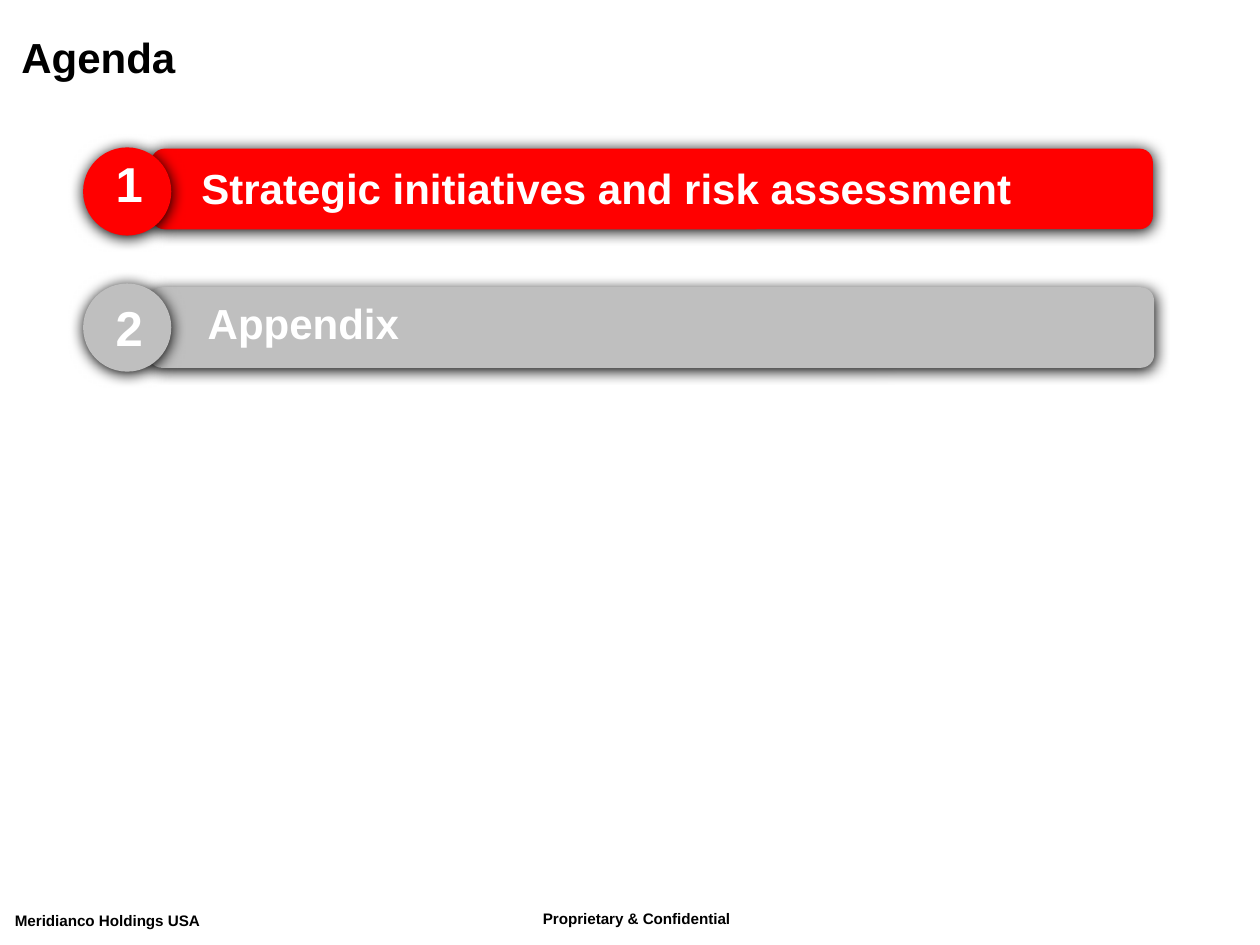
import pptx
import pptx.util
import pptx.dml.color
import pptx.enum.shapes
import pptx.enum.text
import lxml.etree
from pptx.oxml.ns import qn

RED = pptx.dml.color.RGBColor(0xFF, 0x00, 0x00)
GREY = pptx.dml.color.RGBColor(0xBF, 0xBF, 0xBF)
WHITE = pptx.dml.color.RGBColor(0xFF, 0xFF, 0xFF)
BLACK = pptx.dml.color.RGBColor(0x00, 0x00, 0x00)

SLIDE_WIDTH = pptx.util.Inches(10)
SLIDE_HEIGHT = pptx.util.Inches(7.5)
COLUMNS, ROWS = 1000, 750
COLUMN = SLIDE_WIDTH // COLUMNS
ROW = SLIDE_HEIGHT // ROWS

SHAPES = pptx.enum.shapes.MSO_SHAPE
ALIGN = pptx.enum.text.PP_ALIGN
ANCHOR = pptx.enum.text.MSO_ANCHOR
AUTO_SIZE = pptx.enum.text.MSO_AUTO_SIZE

AGENDA_BOX = (66, 117, 850, 70)
AGENDA_STEP = 108
AGENDA_ITEMS = [
    {"text": "Strategic initiatives and risk assessment", "color": RED,
     "bar": (54, 1, 795, 64), "label": (84, 7, 792, 57),
     "number_top": 0, "anchor": ANCHOR.TOP},
    {"text": "Appendix", "color": GREY,
     "bar": (52, 3, 798, 64), "label": (89, 6, 789, 57),
     "number_top": 6, "anchor": ANCHOR.MIDDLE},
]


def place(box):
    left, top, width, height = box
    return left * COLUMN, top * ROW, width * COLUMN, height * ROW


def inside(box, part):
    return box[0] + part[0], box[1] + part[1], part[2], part[3]


def apply_format(target, values):
    for name, value in values.items():
        setattr(target, name, value)


def add_text(shapes, box, text, size, color, frame_format, alignment=ALIGN.LEFT):
    frame = shapes.add_textbox(*place(box)).text_frame
    apply_format(frame, frame_format)
    paragraph = frame.paragraphs[0]
    paragraph.alignment = alignment
    run = paragraph.add_run()
    run.text = text
    apply_format(run.font, {"name": "Arial", "size": pptx.util.Pt(size), "bold": True})
    run.font.color.rgb = color
    return run


def add_raised_shape(shapes, kind, box, color):
    shape = shapes.add_shape(kind, *place(box))
    shape.fill.solid()
    shape.fill.fore_color.rgb = color
    shape.line.fill.background()
    shape.shadow.inherit = False
    effects = shape._element.spPr.find(qn("a:effectLst"))
    shadow = lxml.etree.SubElement(effects, qn("a:outerShdw"), {
        "blurRad": str(pptx.util.Pt(8.5)), "dist": str(pptx.util.Pt(1)),
        "dir": str(90 * 60000), "algn": "ctr", "rotWithShape": "0"})
    lxml.etree.SubElement(shadow, qn("a:srgbClr"), {"val": str(BLACK)})


def add_title(slide, box):
    margins = {f"margin_{side}": 0 for side in ("left", "top", "right", "bottom")}
    add_text(slide.shapes, box, "Agenda", 24, BLACK, {**margins, "word_wrap": False})


def add_agenda_item(slide, box, number, item):
    add_raised_shape(slide.shapes, SHAPES.ROUNDED_RECTANGLE,
                     inside(box, item["bar"]), item["color"])
    badge = slide.shapes.add_group_shape()
    diameter = box[3]
    add_raised_shape(badge.shapes, SHAPES.OVAL,
                     inside(box, (0, 0, diameter, diameter)), item["color"])
    add_text(badge.shapes, inside(box, (16, item["number_top"], 39, 57)),
             str(number), 28, WHITE,
             {"word_wrap": True, "vertical_anchor": item["anchor"],
              "auto_size": AUTO_SIZE.SHAPE_TO_FIT_TEXT}, ALIGN.CENTER)
    add_text(slide.shapes, inside(box, item["label"]), item["text"], 24, WHITE,
             {"word_wrap": False})


def add_agenda(slide, box):
    for index, item in enumerate(AGENDA_ITEMS):
        item_box = inside(box, (0, index * AGENDA_STEP, box[2], box[3]))
        add_agenda_item(slide, item_box, index + 1, item)


def add_footer(slide, box):
    notes = [
        ("Proprietary & Confidential", (419, 0, 218, 35), True),
        ("Meridianco Holdings USA", (0, 2, 191, 35), False),
    ]
    for text, part, wrap in notes:
        run = add_text(slide.shapes, inside(box, part), text, 15, BLACK,
                       {"word_wrap": wrap, "auto_size": AUTO_SIZE.SHAPE_TO_FIT_TEXT})
        run.font._element.set("baseline", "30000")


def main():
    presentation = pptx.Presentation()
    apply_format(presentation, {"slide_width": SLIDE_WIDTH, "slide_height": SLIDE_HEIGHT})
    slide = presentation.slides.add_slide(presentation.slide_layouts[6])
    add_footer(slide, (2, 714, 996, 36))
    add_title(slide, (17, 25, 917, 50))
    add_agenda(slide, AGENDA_BOX)
    presentation.save("out.pptx")


if __name__ == "__main__":
    main()
